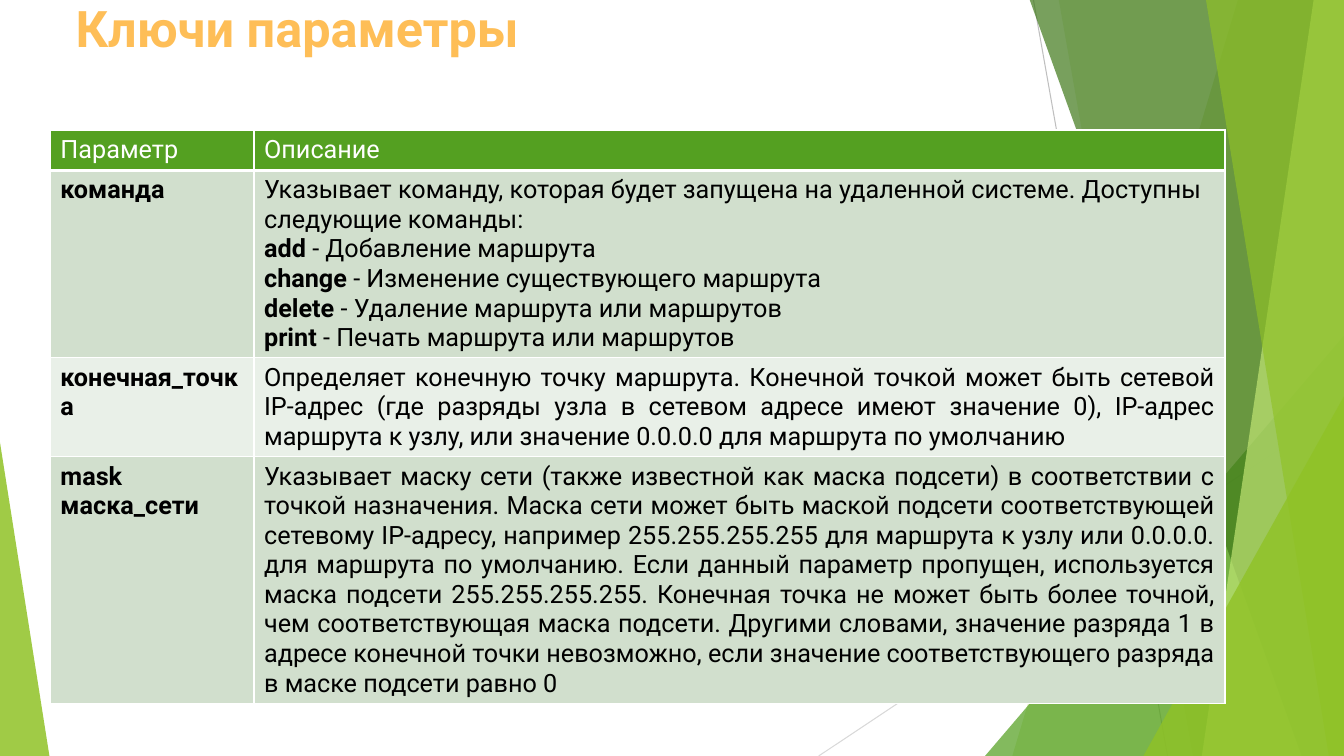
import pptx
import pptx.util
import pptx.dml.color
import pptx.enum.shapes
import pptx.enum.text
import pptx.oxml
import pptx.oxml.ns
from pptx.util import Inches

FONT = "Roboto"
LEAF, GREEN, FOREST, LIME = "90C226", "54A021", "3F7819", "C0E474"
TITLE = "Ключи параметры"
BOTTOM, RIGHT, TOP = 7.5, 13.33, -0.01

# Table: each cell is (alignment, [(text, bold), ...]); "\n" is a line break
HEADER = [("l", [("Параметр", False)]), ("l", [("Описание", False)])]
ROWS = [
    [("l", [("команда", True)]),
     ("l", [("Указывает команду, которая будет запущена на удаленной системе. "
             "Доступны следующие команды:\n", False),
            ("add", True), (" - Добавление маршрута\n", False),
            ("change", True), (" - Изменение существующего маршрута\n", False),
            ("delete", True), (" - Удаление маршрута или маршрутов\n", False),
            ("print", True), (" - Печать маршрута или маршрутов", False)])],
    [("j", [("конечная_точка", True)]),
     ("j", [("Определяет конечную точку маршрута. Конечной точкой может быть сетевой "
             "IP-адрес (где разряды узла в сетевом адресе имеют значение 0), IP-адрес "
             "маршрута к узлу, или значение 0.0.0.0 для маршрута по умолчанию", False)])],
    [("l", [("mask маска_сети", True)]),
     ("j", [("Указывает маску сети (также известной как маска подсети) в соответствии с "
             "точкой назначения. Маска сети может быть маской подсети соответствующей "
             "сетевому IP-адресу, например 255.255.255.255 для маршрута к узлу или 0.0.0.0. "
             "для маршрута по умолчанию. Если данный параметр пропущен, используется "
             "маска подсети 255.255.255.255. Конечная точка не может быть более точной, "
             "чем соответствующая маска подсети. Другими словами, значение разряда 1 в "
             "адресе конечной точки невозможно, если значение соответствующего разряда "
             "в маске подсети равно 0", False)])],
]
COLUMN_WIDTHS = [2.02, 9.63]
ROW_HEIGHTS = [0.4, 1.86, 0.98, 2.44]
BANDS = ["D1DFCD", "E9F0E8"]

# Background: lines, then ribbons (top x, bottom x) and triangles (box, apex)
LINES = [((10.25, 0), (11.58, BOTTOM), "BFBFBF"),
         ((RIGHT, 4.03), (8.12, BOTTOM), "D9D9D9")]
FACETS = [
    ("ribbon", (12.28, 10.04), LEAF, 30),
    ("ribbon", (10.5, 11.83), LEAF, 20),
    ("triangle", (9.77, 3.33, 3.56, 4.17, 1), GREEN, 72),
    ("ribbon", (10.21, 12.91), FOREST, 70),
    ("ribbon", (13.03, 11.92), LIME, 70),
    ("ribbon", (11.96, 13.18), LEAF, 65),
    ("triangle", (11.34, 3.93, 1.99, 3.57, 1), LEAF, 80),
    ("triangle", (0, 4.39, 0.49, 3.11, 0), LEAF, 85),
]
ALIGNMENTS = {"l": pptx.enum.text.PP_ALIGN.LEFT, "j": pptx.enum.text.PP_ALIGN.JUSTIFY}


def rgb(code):
    return pptx.dml.color.RGBColor.from_string(code)


def element(parent, tag, **attributes):
    child = pptx.oxml.ns.qn(tag)
    node = parent.makeelement(child, attributes)
    parent.append(node)
    return node


def write(para, text, size=18, color="000000", bold=False):
    for index, piece in enumerate(text.split("\n")):
        if index:
            para.add_line_break()
        if piece:
            span = para.add_run()
            span.text = piece
            span.font.name, span.font.size = FONT, pptx.util.Pt(size)
            span.font.bold, span.font.color.rgb = bold, rgb(color)


def draw_line(page, start, end, color):
    line = page.shapes.add_connector(
        pptx.enum.shapes.MSO_CONNECTOR.STRAIGHT, *map(Inches, start + end))
    line.line.color.rgb = rgb(color)
    line.line.width = pptx.util.Pt(0.75)
    element(line.element.spPr, "a:effectLst")


def draw_facet(page, kind, geometry, color, opacity):
    if kind == "ribbon":
        top_x, bottom_x = geometry
        outline = [(RIGHT, TOP), (RIGHT, BOTTOM), (bottom_x, BOTTOM)]
        builder = page.shapes.build_freeform(Inches(top_x), Inches(TOP))
        builder.add_line_segments([(Inches(x), Inches(y)) for x, y in outline], close=True)
        facet = builder.convert_to_shape()
    else:
        facet = page.shapes.add_shape(
            pptx.enum.shapes.MSO_SHAPE.ISOSCELES_TRIANGLE, *map(Inches, geometry[:4]))
        facet.adjustments[0] = geometry[4]
    facet.shadow.inherit = False
    facet.line.fill.background()
    facet.fill.solid()
    facet.fill.fore_color.rgb = rgb(color)
    shade = facet.element.spPr.find(".//" + pptx.oxml.ns.qn("a:srgbClr"))
    element(shade, "a:alpha", val=str(opacity * 1000))


def fill_cell(cell, content, fill, color, bottom=1):
    alignment, spans = content
    para = cell.text_frame.paragraphs[0]
    para.alignment = ALIGNMENTS[alignment]
    for text, bold in spans:
        write(para, text, color=color, bold=bold)
    # Borders come before the fill in the cell properties
    properties = cell._tc.get_or_add_tcPr()
    for side, width in (("L", 1), ("R", 1), ("T", 1), ("B", bottom)):
        border = element(properties, "a:ln" + side, w=str(pptx.util.Pt(width)))
        element(element(border, "a:solidFill"), "a:srgbClr", val="FFFFFF")
    cell.fill.solid()
    cell.fill.fore_color.rgb = rgb(fill)


def main():
    deck = pptx.Presentation()
    deck.slide_width, deck.slide_height = Inches(RIGHT), Inches(BOTTOM)
    page = deck.slides.add_slide(deck.slide_layouts[5])
    page.background.fill.solid()
    page.background.fill.fore_color.rgb = rgb("FFFFFF")

    # Background
    for line in LINES:
        draw_line(page, *line)
    for facet in FACETS:
        draw_facet(page, *facet)

    # Title
    title = page.shapes.title
    title.left, title.top = Inches(0.65), Inches(-0.08)
    title.width, title.height = Inches(11.5), Inches(1.45)
    frame = title.text_frame
    frame.word_wrap = True
    frame.auto_size = pptx.enum.text.MSO_AUTO_SIZE.NONE
    frame.vertical_anchor = pptx.enum.text.MSO_ANCHOR.TOP
    frame.paragraphs[0].alignment = ALIGNMENTS["l"]
    write(frame.paragraphs[0], TITLE, size=36, color="FEBE57", bold=True)

    # Table
    table = page.shapes.add_table(
        len(ROW_HEIGHTS), len(COLUMN_WIDTHS), Inches(0.5), Inches(1.29),
        Inches(sum(COLUMN_WIDTHS)), Inches(sum(ROW_HEIGHTS))).table
    for column, width in zip(table.columns, COLUMN_WIDTHS):
        column.width = Inches(width)
    for row, height in zip(table.rows, ROW_HEIGHTS):
        row.height = Inches(height)
    for column, content in enumerate(HEADER):
        fill_cell(table.cell(0, column), content, GREEN, "FFFFFF", bottom=3)
    for index, row in enumerate(ROWS):
        for column, content in enumerate(row):
            fill_cell(table.cell(index + 1, column), content, BANDS[index % 2], "000000")

    deck.save("out.pptx")


if __name__ == "__main__":
    main()
